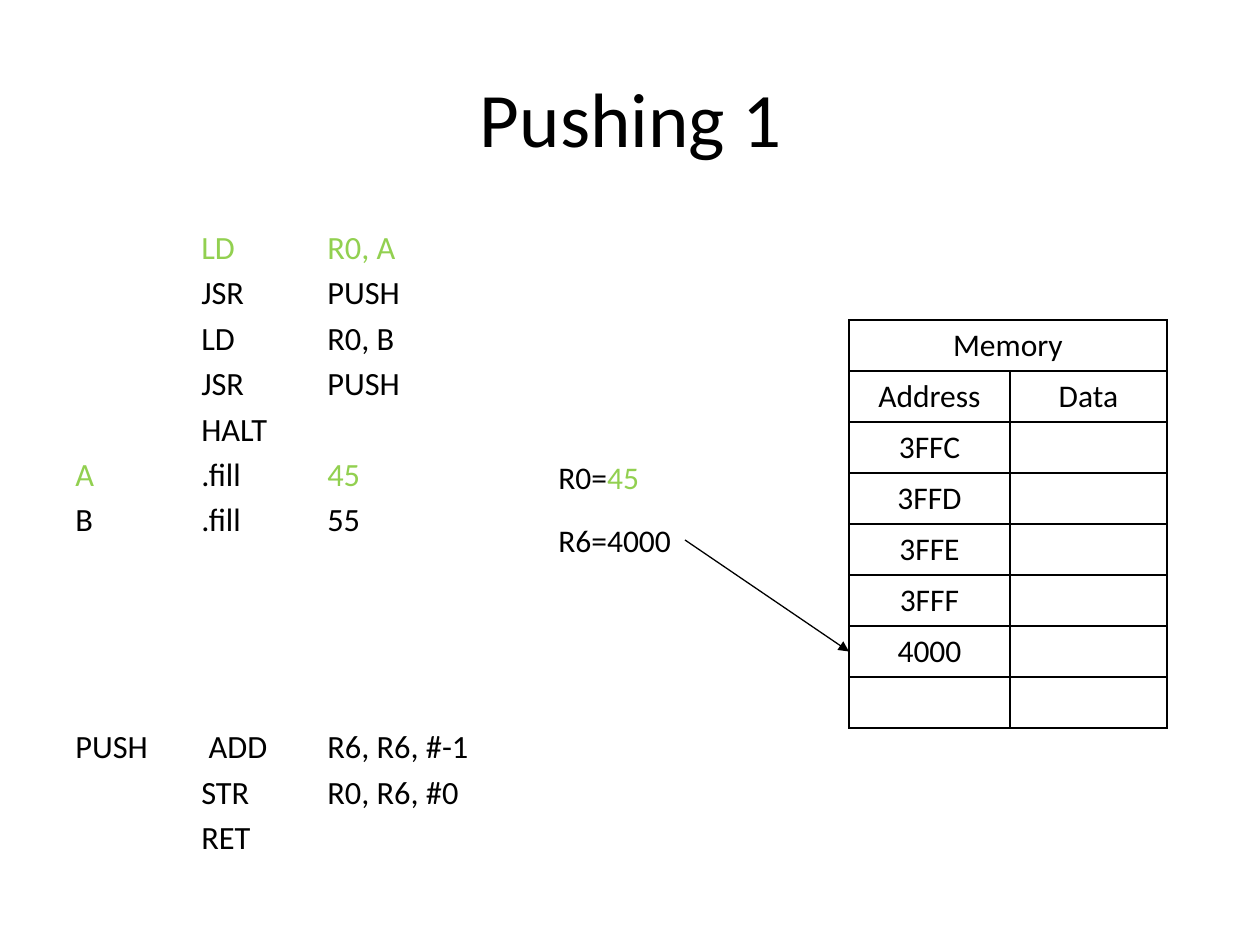
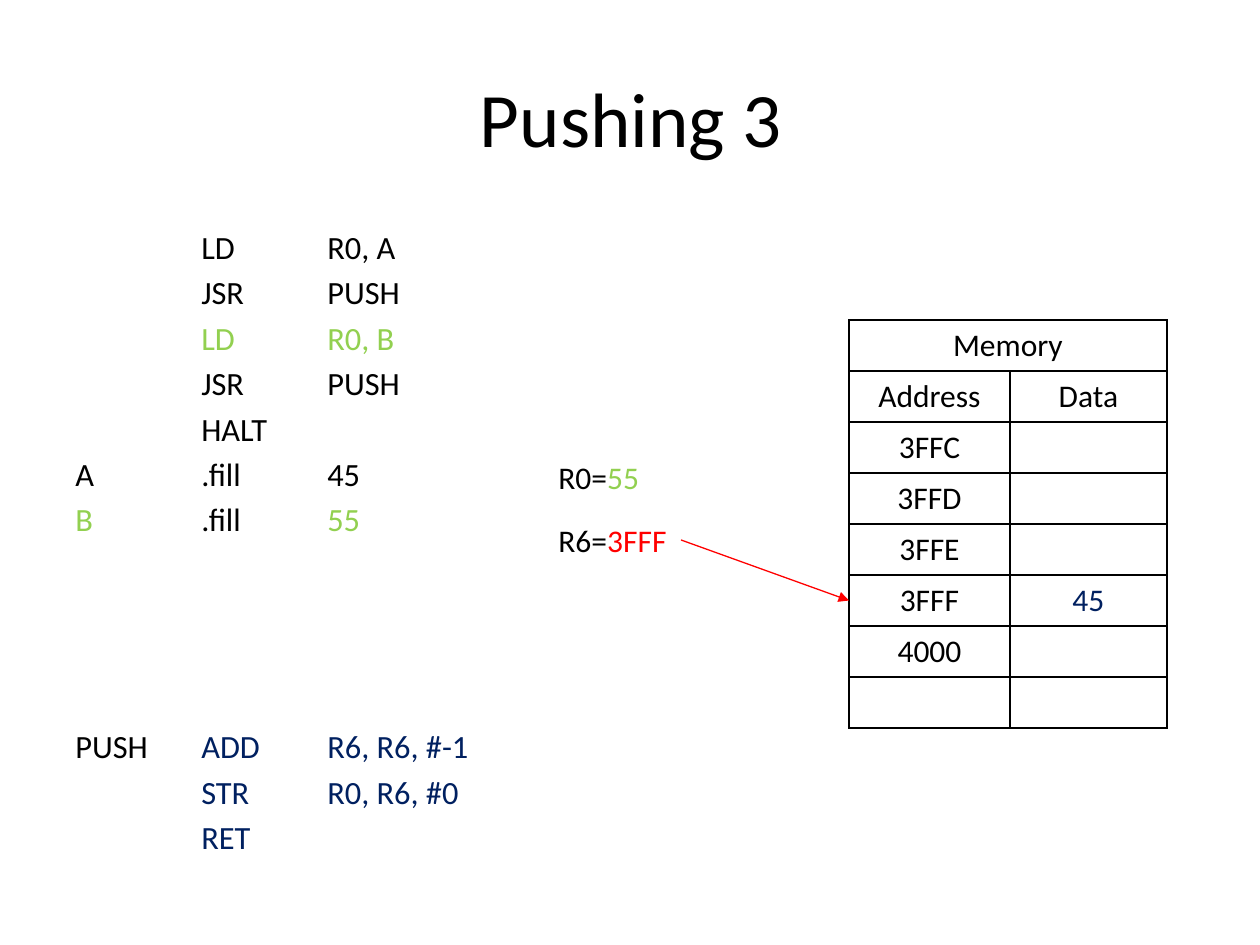
"""Builds two slides that trace pushes onto a stack in memory."""
from lxml import etree
from pptx import Presentation
from pptx import util as u
from pptx.dml.color import RGBColor
from pptx.enum import shapes, text
from pptx.oxml import ns

EMU_PER_PX = 914400 / 126
FONT = "Calibri"
BLACK, GREEN, NAVY, RED = "000000", "92D050", "002060", "FF0000"

PROGRAM = [
    ("", "LD", "R0, A"),
    ("", "JSR", "PUSH"),
    ("", "LD", "R0, B"),
    ("", "JSR", "PUSH"),
    ("", "HALT"),
    ("A", ".fill", "45"),
    ("B", ".fill", "55"),
]
ROUTINE_TAIL = [("", "STR", "R0, R6, #0"), ("", "RET")]
CODE_SIZE, CODE_GAP, ROUTINE_GAP = 18.5, 3.7, 107.5
CODE_TABS = [126, 252]

ADDRESSES = ["3FFC", "3FFD", "3FFE", "3FFF", "4000", ""]
TABLE_LEFT, TABLE_TOP, ROW_HEIGHT = 849, 320, 51
COLUMN_WIDTHS = [161, 157]
HEADER_ROWS = 2
REGISTER_LEFT, REGISTER_HEIGHT = 546, 50


def px(length):
    """Turn pixels into EMU."""
    return u.Emu(round(length * EMU_PER_PX))


def colour(hex_string):
    """Turn a hex string into a colour."""
    return RGBColor.from_string(hex_string)


def write(paragraph, segments, size=18, align=text.PP_ALIGN.LEFT):
    """Fill a paragraph with (words, colour) segments."""
    paragraph.alignment = align
    paragraph.font.name = FONT
    paragraph.font.size = u.Pt(size)
    for words, hex_string in segments:
        run = paragraph.add_run()
        run.text = words
        run.font.color.rgb = colour(hex_string)


def set_tabs(paragraph, positions):
    """Give a written paragraph left tab stops."""
    properties = paragraph._p.get_or_add_pPr()
    tabs = etree.Element(ns.qn("a:tabLst"))
    for position in positions:
        etree.SubElement(tabs, ns.qn("a:tab"), pos=str(px(position)), algn="l")
    properties.find(ns.qn("a:defRPr")).addprevious(tabs)


def add_text_box(slide, left, top, width, height, wrap=True):
    """Add an empty text box."""
    box = slide.shapes.add_textbox(px(left), px(top), px(width), px(height))
    box.text_frame.word_wrap = wrap
    return box


def add_title(slide, title):
    """Add the centred slide title."""
    frame = add_text_box(slide, 64, 38, 1134, 157).text_frame
    frame.vertical_anchor = text.MSO_ANCHOR.MIDDLE
    write(frame.paragraphs[0], [(title, BLACK)], 44, text.PP_ALIGN.CENTER)


def add_code(slide, add_opcode, colours):
    """Add the listing; colours maps (row, column) to a hex string."""
    frame = add_text_box(slide, 63, 221, 431, 624).text_frame
    rows = PROGRAM + [("PUSH", add_opcode, "R6, R6, #-1")] + ROUTINE_TAIL
    for row, fields in enumerate(rows):
        paragraph = frame.add_paragraph() if row else frame.paragraphs[0]
        gap = ROUTINE_GAP if row == len(PROGRAM) else CODE_GAP
        paragraph.space_before = u.Pt(gap)
        segments = [
            ("\t" * (column > 0) + field, colours.get((row, column), BLACK))
            for column, field in enumerate(fields)
        ]
        write(paragraph, [part for part in segments if part[0]], CODE_SIZE)
        set_tabs(paragraph, CODE_TABS)


def style_cell(cell):
    """Give a cell thin black borders and no fill."""
    properties = cell._tc.get_or_add_tcPr()
    for side in ("a:lnL", "a:lnR", "a:lnT", "a:lnB"):
        line = etree.SubElement(properties, ns.qn(side), w=str(u.Pt(1)))
        fill = etree.SubElement(line, ns.qn("a:solidFill"))
        etree.SubElement(fill, ns.qn("a:srgbClr"), val=BLACK)
    cell.fill.background()


def add_memory(slide, data):
    """Add the memory table; data maps addresses to stored values."""
    rows = [("Memory", ""), ("Address", "Data")]
    rows += [(address, data.get(address, "")) for address in ADDRESSES]
    table = slide.shapes.add_table(
        len(rows), 2, px(TABLE_LEFT), px(TABLE_TOP),
        px(sum(COLUMN_WIDTHS)), px(ROW_HEIGHT * len(rows)),
    ).table
    table.first_row = table.horz_banding = False
    for column, width in zip(table.columns, COLUMN_WIDTHS):
        column.width = px(width)
    for row, values in enumerate(rows):
        table.rows[row].height = px(ROW_HEIGHT)
        for column, value in enumerate(values):
            cell = table.cell(row, column)
            style_cell(cell)
            stored = column == 1 and row >= HEADER_ROWS
            segments = [(value, NAVY if stored else BLACK)] if value else []
            write(cell.text_frame.paragraphs[0], segments,
                  align=text.PP_ALIGN.CENTER)
    table.cell(0, 0).merge(table.cell(0, 1))


def add_register(slide, top, width, name, value, value_colour):
    """Add a register label with its value."""
    box = add_text_box(slide, REGISTER_LEFT, top, width, REGISTER_HEIGHT, False)
    write(box.text_frame.paragraphs[0],
          [(name + "=", BLACK), (value, value_colour)])
    return box


def add_pointer(slide, register, address, hex_string):
    """Draw an arrow from a register to the row of an address."""
    row = HEADER_ROWS + ADDRESSES.index(address)
    target = px(TABLE_TOP + (row + 0.5) * ROW_HEIGHT)
    arrow = slide.shapes.add_connector(
        shapes.MSO_CONNECTOR.STRAIGHT, 0, 0, px(TABLE_LEFT), target)
    arrow.begin_connect(register, 3)
    arrow.line.color.rgb = colour(hex_string)
    arrow.line.width = u.Pt(0.75)
    etree.SubElement(arrow.line._get_or_add_ln(), ns.qn("a:tailEnd"),
                     type="triangle")
    etree.SubElement(arrow._element.spPr, ns.qn("a:effectLst"))


def add_push_slide(presentation, title, add_opcode, code_colours, data,
                   loaded, pointer, pointer_width, pointer_colour):
    """Add one step of the trace."""
    slide = presentation.slides.add_slide(presentation.slide_layouts[6])
    add_title(slide, title)
    add_code(slide, add_opcode, code_colours)
    add_memory(slide, data)
    stack_pointer = add_register(
        slide, 515, pointer_width, "R6", pointer, pointer_colour)
    add_register(slide, 452, 107, "R0", loaded, GREEN)
    add_pointer(slide, stack_pointer, pointer, pointer_colour)


def main():
    """Build and save the presentation."""
    presentation = Presentation()
    presentation.slide_width, presentation.slide_height = px(1260), px(945)
    load_a = dict.fromkeys([(0, 1), (0, 2), (5, 0), (5, 2)], GREEN)
    load_b = dict.fromkeys([(2, 1), (2, 2), (6, 0), (6, 2)], GREEN)
    push_done = dict.fromkeys(
        [(7, 1), (7, 2), (8, 1), (8, 2), (9, 1)], NAVY)
    add_push_slide(presentation, "Pushing 1", " ADD", load_a, {},
                   "45", "4000", 139, BLACK)
    add_push_slide(presentation, "Pushing 3", "ADD", load_b | push_done,
                   {"3FFF": "45"}, "55", "3FFF", 135, RED)
    presentation.save("out.pptx")


if __name__ == "__main__":
    main()
